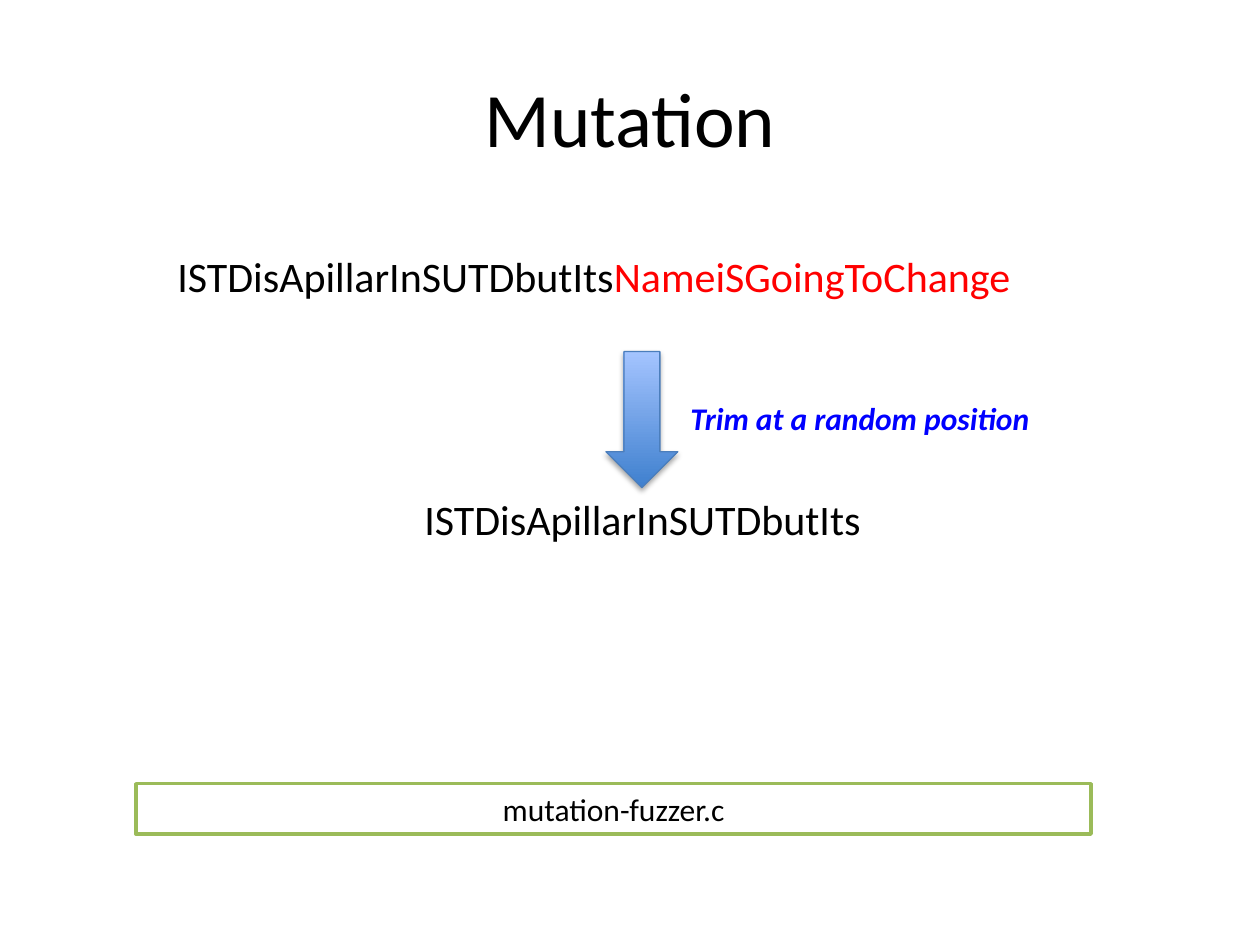
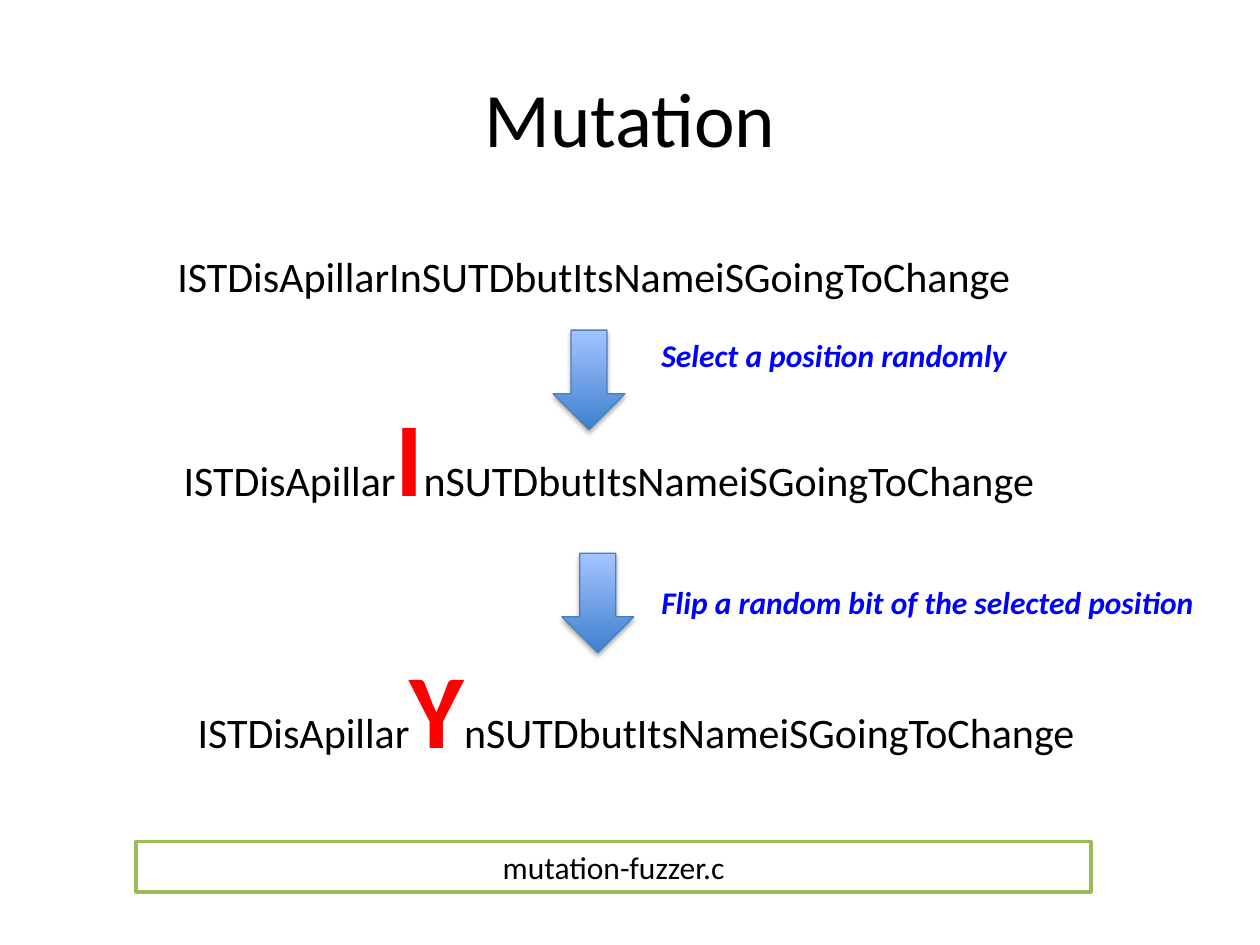
import pptx
import pptx.util
import pptx.dml.color
import pptx.enum.shapes
import pptx.enum.text
import pptx.oxml
import pptx.oxml.ns

EMU_PER_PX = 9144  # 100 px to the inch
FONT = "Calibri"
BLACK, WHITE, RED, BLUE = "000000", "FFFFFF", "FF0000", "0000FF"
GREEN, ARROW_LINE = "9BBB59", "4B7EBC"
ARROW_STOPS = ("3F80CE", "A4C4FF")

HEAD, CHANGED, TAIL = "ISTDisApillar", "I", "nSUTDbutIts"
NAME = "NameiSGoingToChange"

SHADOW = (
    f'<a:outerShdw {pptx.oxml.ns.nsdecls("a")} blurRad="39370" dist="22860" '
    'dir="5400000" rotWithShape="0"><a:srgbClr val="000000">'
    '<a:alpha val="35000"/></a:srgbClr></a:outerShdw>'
)


def px(n):
    return pptx.util.Emu(n * EMU_PER_PX)


def rgb(hex_color):
    return pptx.dml.color.RGBColor.from_string(hex_color)


class Deck:
    """Holds the shared style and the slide being filled."""

    def __init__(self):
        self.prs = pptx.Presentation()
        self.prs.slide_width, self.prs.slide_height = px(1000), px(750)
        self.slide = None

    def style(self, r, size, color=BLACK, bold=False, italic=False):
        r.font.name = FONT
        r.font.size = pptx.util.Pt(size)
        r.font.color.rgb = rgb(color)
        r.font.bold, r.font.italic = bold, italic

    def new_slide(self, title):
        self.slide = self.prs.slides.add_slide(self.prs.slide_layouts[5])
        sp = self.slide.shapes.title
        sp.left, sp.top, sp.width, sp.height = map(px, (50, 30, 900, 125))
        tf = sp.text_frame
        tf.text = title
        tf.vertical_anchor = pptx.enum.text.MSO_ANCHOR.MIDDLE
        p = tf.paragraphs[0]
        p.alignment = pptx.enum.text.PP_ALIGN.CENTER
        self.style(p.runs[0], 44)

    def text_box(self, x, y, w, h, wrap):
        sp = self.slide.shapes.add_textbox(px(x), px(y), px(w), px(h))
        tf = sp.text_frame
        tf.word_wrap = wrap
        tf.auto_size = pptx.enum.text.MSO_AUTO_SIZE.SHAPE_TO_FIT_TEXT
        return tf

    def sample(self, x, y, *parts, h=50):
        """Input string made of (text, style) parts."""
        p = self.text_box(x, y, 803, h, True).paragraphs[0]
        for text, fmt in parts:
            r = p.add_run()
            r.text = text
            self.style(r, **{"size": 24, **fmt})

    def marked_sample(self, x, y, letter):
        """Input string with one enlarged letter."""
        big = {"size": 60, "color": RED, "bold": True}
        self.sample(x, y, (HEAD, {}), (letter, big), (TAIL + NAME, {}), h=111)

    def step_label(self, x, y, w, text):
        tf = self.text_box(x, y, w, 40, False)
        tf.text = text
        self.style(tf.paragraphs[0].runs[0], 18, BLUE, True, True)

    def shape(self, kind, x, y, w, h, line, line_width):
        sp = self.slide.shapes.add_shape(kind, px(x), px(y), px(w), px(h))
        sp.shadow.inherit = False
        sp.line.color.rgb = rgb(line)
        sp.line.width = pptx.util.Pt(line_width)
        return sp

    def down_arrow(self, x, y, h):
        kind = pptx.enum.shapes.MSO_SHAPE.DOWN_ARROW
        sp = self.shape(kind, x, y, 57, h, ARROW_LINE, 0.75)
        sp.fill.gradient()
        sp.fill.gradient_angle = 90
        for stop, color in zip(sp.fill.gradient_stops, ARROW_STOPS):
            stop.color.rgb = rgb(color)
        effects = sp._element.spPr.find(pptx.oxml.ns.qn("a:effectLst"))
        effects.append(pptx.oxml.parse_xml(SHADOW))

    def file_bar(self, y, text):
        kind = pptx.enum.shapes.MSO_SHAPE.RECTANGLE
        sp = self.shape(kind, 108, y, 758, 40, GREEN, 2)
        sp.fill.solid()
        sp.fill.fore_color.rgb = rgb(WHITE)
        tf = sp.text_frame
        tf.text = text
        tf.word_wrap = True
        p = tf.paragraphs[0]
        p.alignment = pptx.enum.text.PP_ALIGN.CENTER
        self.style(p.runs[0], 18)


def main():
    deck = Deck()
    start = HEAD + CHANGED + TAIL

    # Trimming
    deck.new_slide("Mutation")
    deck.sample(131, 194, (start, {}), (NAME, {"color": RED}))
    deck.down_arrow(481, 279, 108)
    deck.step_label(538, 312, 299, "Trim at a random position")
    deck.sample(327, 387, (start, {}))
    deck.file_bar(622, "mutation-fuzzer.c")

    # Bit flipping
    deck.new_slide("Mutation")
    deck.sample(131, 194, (start + NAME, {}))
    deck.down_arrow(439, 262, 79)
    deck.step_label(515, 262, 303, "Select a position randomly")
    deck.marked_sample(136, 306, CHANGED)
    deck.down_arrow(446, 439, 79)
    deck.step_label(515, 458, 453, "Flip a random bit of the selected position")
    deck.marked_sample(147, 506, "Y")
    deck.file_bar(668, "mutation-fuzzer.c")

    deck.prs.save("out.pptx")


if __name__ == "__main__":
    main()
